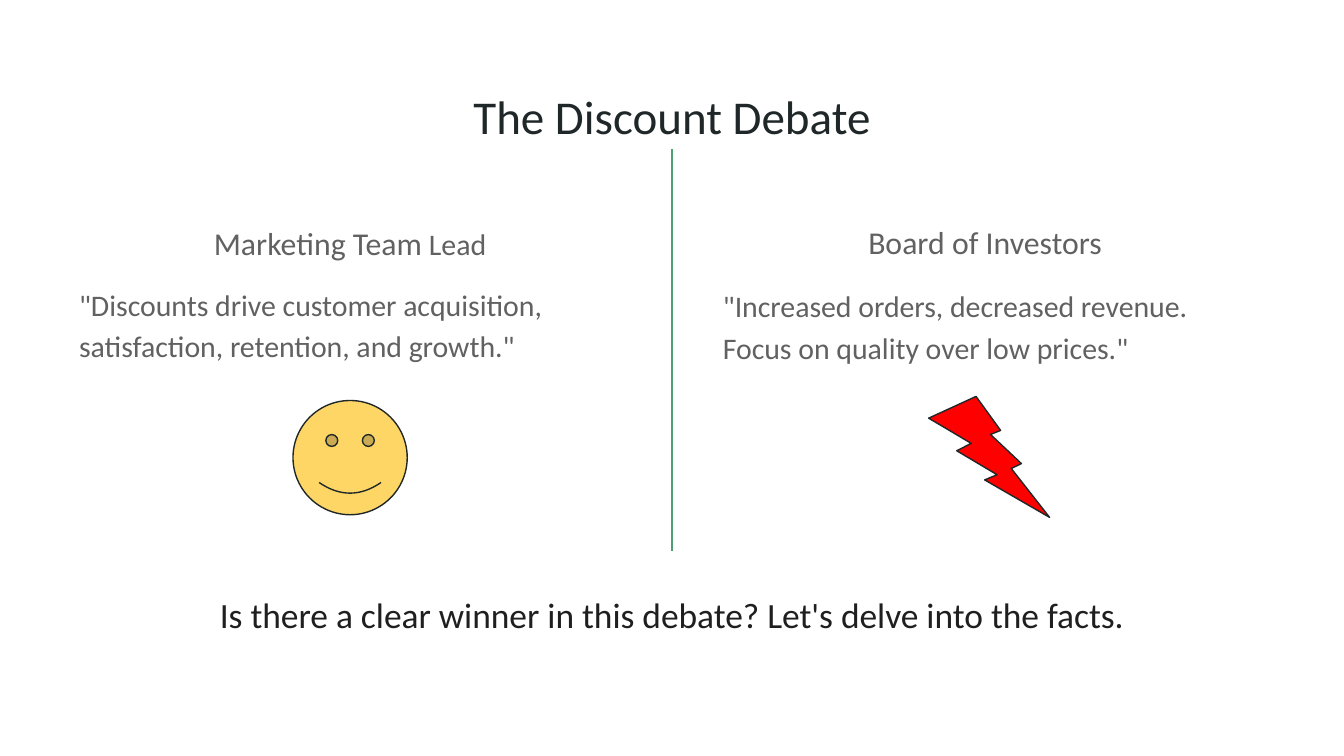
from lxml.etree import SubElement
from pptx import Presentation
from pptx.dml.color import RGBColor
from pptx.enum.shapes import MSO_CONNECTOR, MSO_SHAPE
from pptx.enum.text import MSO_ANCHOR as ANCHOR, MSO_AUTO_SIZE, PP_ALIGN as ALIGN
from pptx.oxml.ns import qn
from pptx.util import Inches, Pt

FONT = "Calibri"
COLORS = {
    "ink": "202729",
    "body": "616161",
    "question": "1F1F1F",
    "smile": "FED666",
    "bolt": "FF0000",
    "divider": "4BA173",
}

TITLE = "The Discount Debate"
QUESTION = "Is there a clear winner in this debate? Let's delve into the facts."
SIDES = [
    {
        "box": (0.49, 1.3, 4.23, 1.73),
        "heading": [("Marketing Team", 17), (" Lead", 16)],
        "quote": '"Discounts drive customer acquisition, satisfaction, retention, and growth."',
        "gap": 10,
        "icon": (MSO_SHAPE.SMILEY_FACE, "smile", (2.18, 2.98, 0.85, 0.85)),
    },
    {
        "box": (5.28, 1.3, 4.15, 1.73),
        "heading": [("Board of Investors", 17), (" ", 16)],
        "quote": '"Increased orders, decreased revenue. Focus on quality over low prices."',
        "gap": 12,
        "icon": (MSO_SHAPE.LIGHTNING_BOLT, "bolt", (6.91, 2.95, 0.9, 0.9)),
    },
]


def rgb(name):
    return RGBColor.from_string(COLORS[name])


def inches(box):
    return [Inches(v) for v in box]


def set_frame(sp, anchor):
    tf = sp.text_frame
    tf.word_wrap = True
    tf.auto_size = MSO_AUTO_SIZE.NONE
    tf.vertical_anchor = anchor
    tf.margin_left = tf.margin_right = tf.margin_top = tf.margin_bottom = Inches(0.1)
    return tf


def write(p, runs, color="body", align=ALIGN.LEFT, before=0, after=0):
    """Fill a paragraph with (text, size) runs."""
    p.alignment = align
    p.line_spacing = 1.15
    p.space_before, p.space_after = Pt(before), Pt(after)
    for text, size in runs:
        r = p.add_run()
        r.text = text
        r.font.name, r.font.size = FONT, Pt(size)
        r.font.color.rgb = rgb(color)


def add_side(s, side):
    tf = set_frame(s.shapes.add_textbox(*inches(side["box"])), ANCHOR.MIDDLE)
    write(tf.paragraphs[0], side["heading"], align=ALIGN.CENTER)
    write(tf.add_paragraph(), [(side["quote"], 16)], before=side["gap"], after=side["gap"])

    shape, fill, box = side["icon"]
    icon = s.shapes.add_shape(shape, *inches(box))
    icon.shadow.inherit = False
    icon.fill.solid()
    icon.fill.fore_color.rgb = rgb(fill)
    icon.line.color.rgb = rgb("ink")
    icon.line.width = Pt(0.75)


def main():
    prs = Presentation()
    prs.slide_width = Inches(10)
    prs.slide_height = prs.slide_width * 9 // 16
    s = prs.slides.add_slide(prs.slide_layouts[5])

    title = s.shapes.title
    title.left, title.top, title.width, title.height = inches((0.34, 0.49, 9.32, 0.63))
    tf = set_frame(title, ANCHOR.TOP)
    write(tf.paragraphs[0], [(TITLE, 25.2)], color="ink", align=ALIGN.CENTER)

    for side in SIDES:
        add_side(s, side)

    tf = set_frame(s.shapes.add_textbox(*inches((0.34, 4.1, 9.32, 0.9))), ANCHOR.MIDDLE)
    write(tf.paragraphs[0], [(QUESTION, 19)], color="question", align=ALIGN.CENTER, after=12)

    divider = s.shapes.add_connector(MSO_CONNECTOR.STRAIGHT, *inches((5, 1.11, 5, 4.1)))
    divider.line.color.rgb = rgb("divider")
    divider.line.width = Pt(0.75)
    SubElement(divider._element.spPr, qn("a:effectLst"))

    prs.save("out.pptx")


if __name__ == "__main__":
    main()
